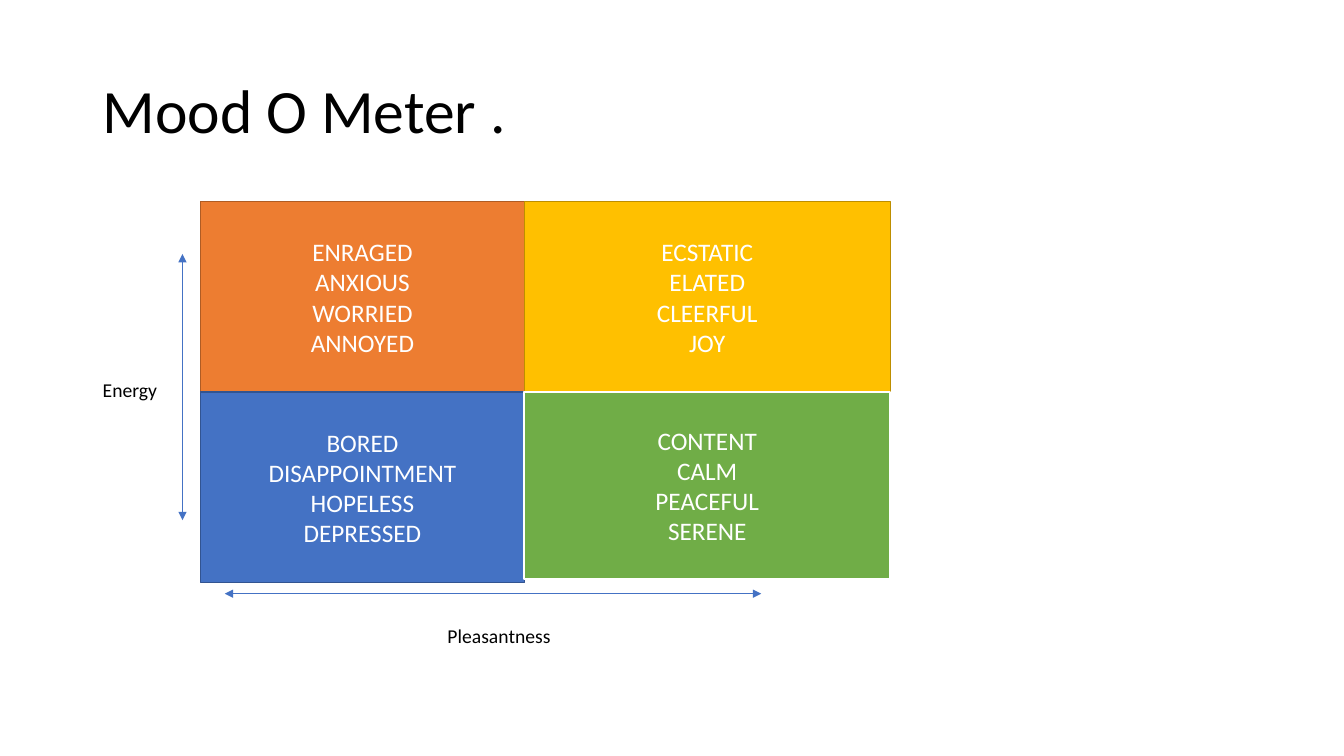
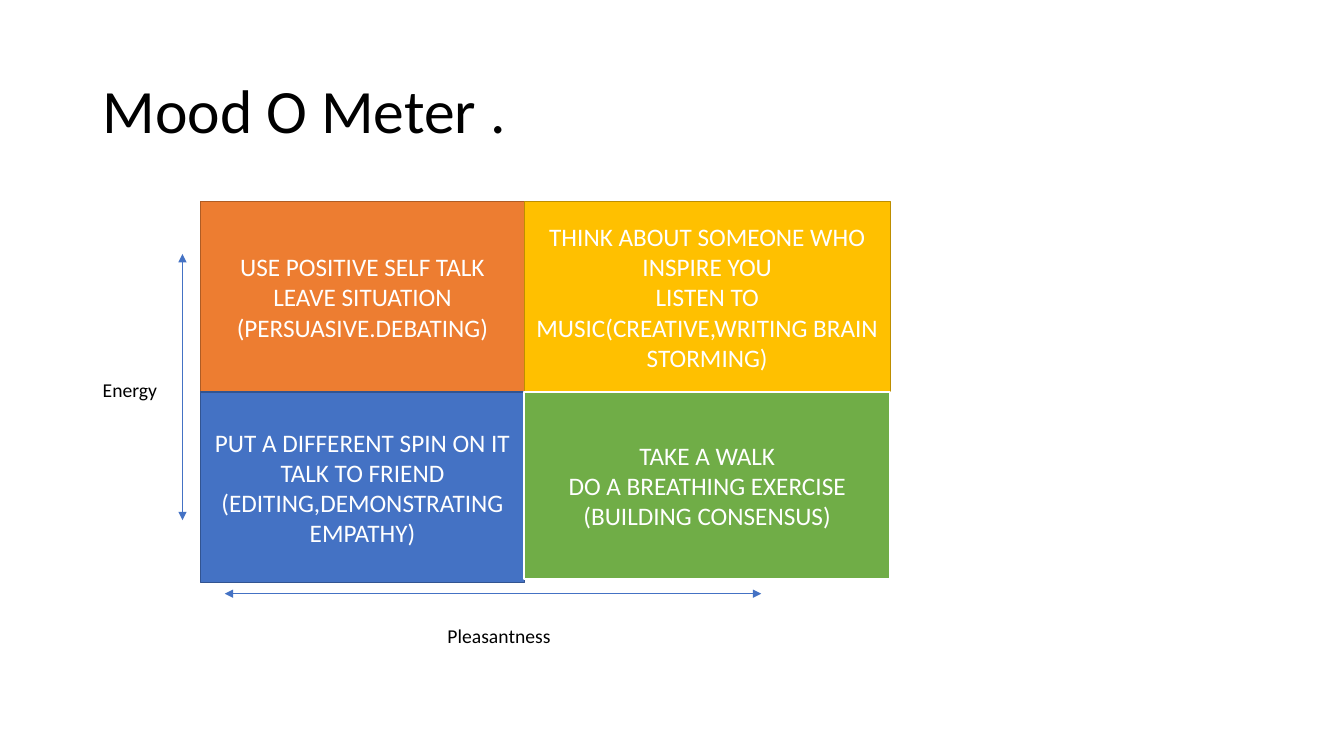
"""Build two mood meter slides: feelings, then ways to respond to them."""
from lxml.etree import SubElement
from pptx import Presentation
from pptx.dml.color import RGBColor
from pptx.enum.shapes import MSO_CONNECTOR as Connector, MSO_SHAPE as Shape
from pptx.enum.text import MSO_ANCHOR as Anchor, PP_ALIGN as Align
from pptx.oxml.ns import qn
from pptx.util import Inches, Pt

BLACK = RGBColor(0x00, 0x00, 0x00)
WHITE = RGBColor(0xFF, 0xFF, 0xFF)
ORANGE = RGBColor(0xED, 0x7D, 0x31)
DARK_ORANGE = RGBColor(0xAF, 0x5C, 0x24)
GOLD = RGBColor(0xFF, 0xC0, 0x00)
DARK_GOLD = RGBColor(0xBD, 0x8E, 0x00)
BLUE = RGBColor(0x44, 0x72, 0xC4)
DARK_BLUE = RGBColor(0x32, 0x54, 0x91)
GREEN = RGBColor(0x70, 0xAD, 0x47)

FONT = "Calibri"
GRID_LEFT, GRID_TOP = 1.99, 2
LEFT_WIDTH, RIGHT_WIDTH = 3.21, 3.63
ROW_HEIGHT, GREEN_HEIGHT = 1.89, 1.85
GRID_MIDDLE = GRID_LEFT + LEFT_WIDTH
SECOND_ROW = GRID_TOP + ROW_HEIGHT

QUADRANTS = [
    (GRID_LEFT, GRID_TOP, LEFT_WIDTH, ROW_HEIGHT, ORANGE, DARK_ORANGE, 1),
    (GRID_MIDDLE, GRID_TOP, RIGHT_WIDTH, ROW_HEIGHT, GOLD, DARK_GOLD, 1),
    (GRID_LEFT, SECOND_ROW, LEFT_WIDTH, ROW_HEIGHT, BLUE, DARK_BLUE, 1),
    (GRID_MIDDLE, SECOND_ROW, RIGHT_WIDTH, GREEN_HEIGHT, GREEN, WHITE, 1.5),
]

FEELINGS = [
    "ENRAGED\nANXIOUS\nWORRIED\nANNOYED",
    "ECSTATIC\nELATED\nCLEERFUL\nJOY",
    "BORED\nDISAPPOINTMENT\nHOPELESS\nDEPRESSED",
    "CONTENT\nCALM\nPEACEFUL\nSERENE",
]
RESPONSES = [
    "USE POSITIVE SELF TALK\nLEAVE SITUATION\n(PERSUASIVE.DEBATING)",
    "THINK ABOUT SOMEONE WHO INSPIRE YOU\n"
    "LISTEN TO MUSIC(CREATIVE,WRITING BRAIN\nSTORMING)",
    "PUT A DIFFERENT SPIN ON IT\nTALK TO FRIEND\n"
    "(EDITING,DEMONSTRATING EMPATHY)",
    "TAKE A WALK\nDO A BREATHING EXERCISE\n(BUILDING CONSENSUS)",
]


class MoodDeck:
    def __init__(self):
        self.deck = Presentation()
        self.deck.slide_width = Inches(13.33)
        self.deck.slide_height = Inches(7.5)
        self.slide = None

    def add_slide(self):
        self.slide = self.deck.slides.add_slide(self.deck.slide_layouts[6])

    def set_text(self, shape, text, size, color, align):
        frame = shape.text_frame
        frame.word_wrap = True
        frame.vertical_anchor = Anchor.MIDDLE
        frame.text = text
        for para in frame.paragraphs:
            para.alignment = align
            for span in para.runs:
                span.font.name = FONT
                span.font.size = Pt(size)
                span.font.color.rgb = color

    def label(self, text, left, top, width, height, size):
        box = self.slide.shapes.add_textbox(
            Inches(left), Inches(top), Inches(width), Inches(height))
        self.set_text(box, text, size, BLACK, Align.LEFT)
        for para in box.text_frame.paragraphs:
            para.line_spacing = 0.9

    def quadrant(self, text, left, top, width, height, fill, border, weight):
        box = self.slide.shapes.add_shape(
            Shape.RECTANGLE, Inches(left), Inches(top),
            Inches(width), Inches(height))
        box.shadow.inherit = False
        box.fill.solid()
        box.fill.fore_color.rgb = fill
        box.line.color.rgb = border
        box.line.width = Pt(weight)
        self.set_text(box, text, 18, WHITE, Align.CENTER)

    def double_arrow(self, start_x, start_y, end_x, end_y):
        arrow = self.slide.shapes.add_connector(
            Connector.STRAIGHT, Inches(start_x), Inches(start_y),
            Inches(end_x), Inches(end_y))
        arrow.line.color.rgb = BLUE
        arrow.line.width = Pt(0.5)
        properties = arrow._element.spPr
        outline = properties.find(qn("a:ln"))
        for end in ("a:headEnd", "a:tailEnd"):
            SubElement(outline, qn(end), type="triangle")
        SubElement(properties, qn("a:effectLst"))

    def mood_meter(self, texts):
        self.add_slide()
        self.label("Mood O Meter .", 0.92, 0.4, 11.5, 1.45, 44)
        self.label("Energy", 0.92, 3.7, 0.85, 0.36, 14)
        self.label("Pleasantness", 4.34, 6.14, 1.5, 0.36, 14)
        for text, quadrant in zip(texts, QUADRANTS):
            self.quadrant(text, *quadrant)
        self.double_arrow(1.81, 2.52, 1.81, 5.16)
        self.double_arrow(2.23, 5.89, 7.55, 5.89)


def main():
    mood = MoodDeck()
    for texts in (FEELINGS, RESPONSES):
        mood.mood_meter(texts)
    mood.deck.save("out.pptx")


if __name__ == "__main__":
    main()
